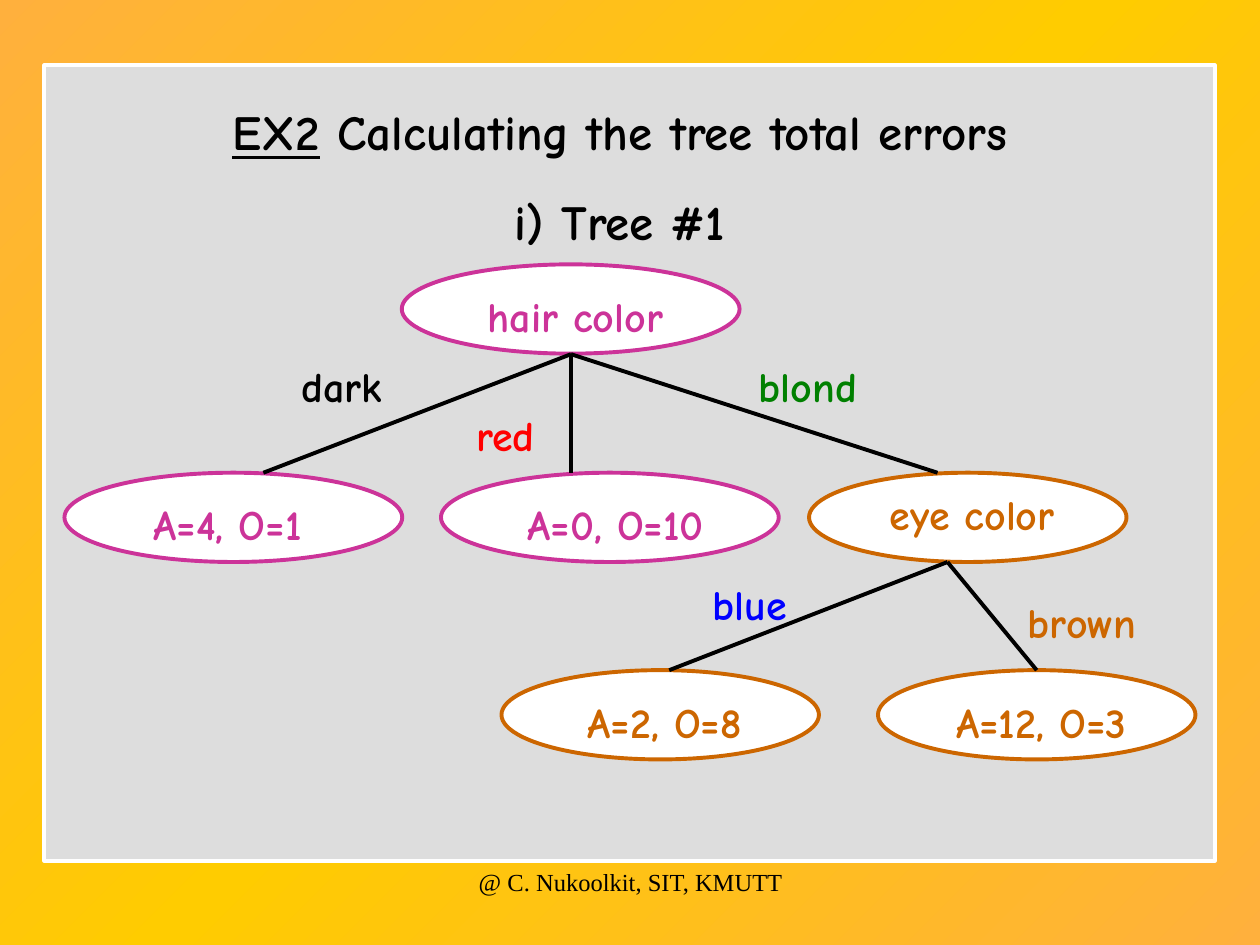
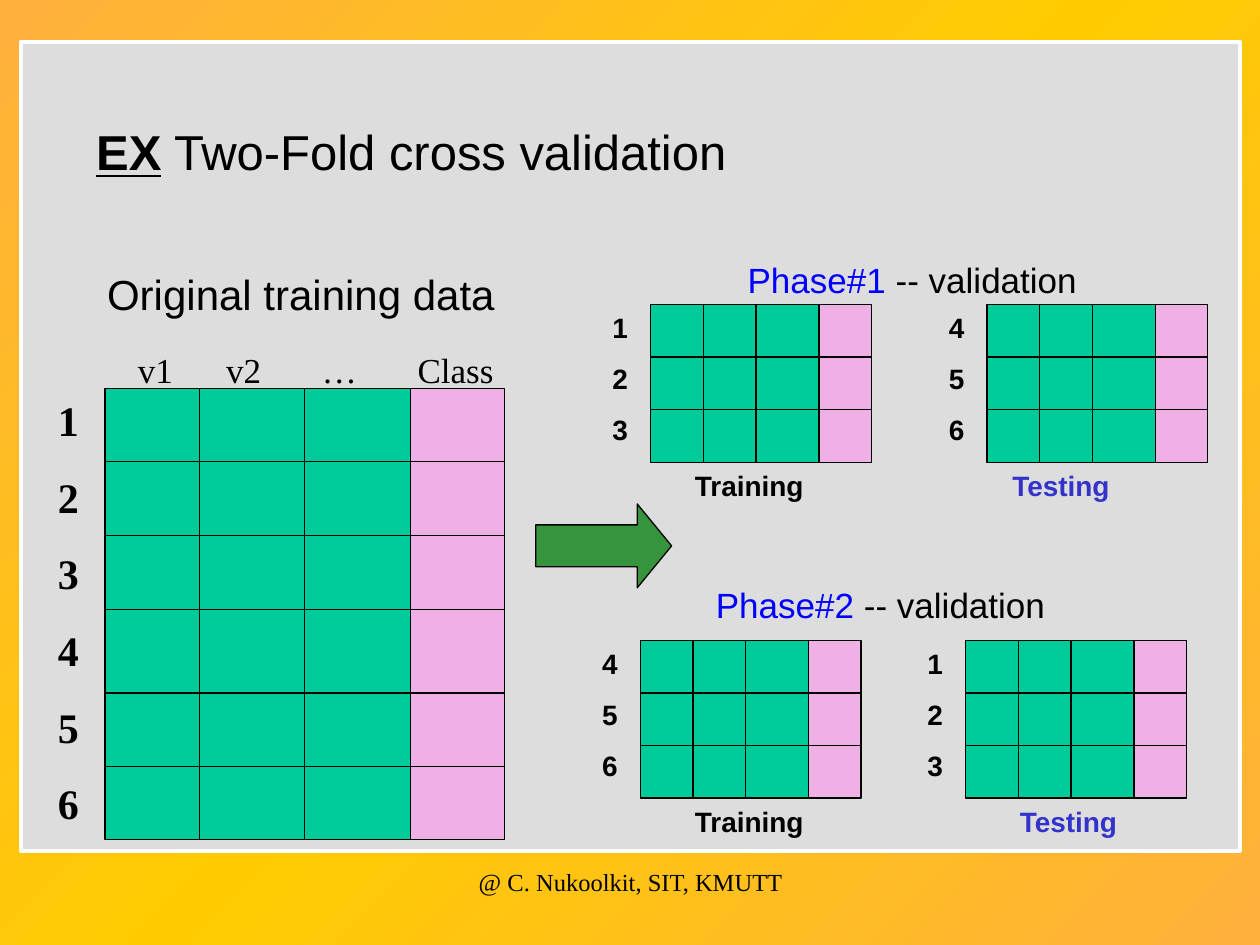
import copy
from dataclasses import dataclass

import pptx
import pptx.util
from pptx.dml.color import RGBColor
from pptx.enum.shapes import MSO_CONNECTOR, MSO_SHAPE
from pptx.enum.text import MSO_AUTO_SIZE, PP_ALIGN
from pptx.oxml.ns import qn
from pptx.oxml.xmlchemy import OxmlElement

Cm = pptx.util.Cm
Pt = pptx.util.Pt

COLOURS = {
    "edge": "FFB03D", "gold": "FFCC00", "panel": "DDDDDD", "white": "FFFFFF",
    "black": "000000", "magenta": "CC3399", "orange": "CC6600", "red": "FF0000",
    "green": "008000", "blue": "0000FF", "attribute": "00CC99", "class": "EEB0E5",
    "arrow": "36943D", "testing": "3333CC",
}
COMIC, ARIAL, TIMES = "Comic Neue", "Arial", "Times New Roman"
THIN, THICK = 0.75, 2.25


@dataclass(frozen=True)
class Box:
    left: float
    top: float
    width: float
    height: float

    def lengths(self) -> list:
        return [Cm(value) for value in (self.left, self.top, self.width, self.height)]


@dataclass(frozen=True)
class Style:
    font: str
    size: float
    colour: str = "black"
    bold: bool = False
    underline: bool = False


@dataclass(frozen=True)
class Node:
    text: str
    colour: str
    ellipse: Box
    label_left: float
    label_drop: float = 0.4


@dataclass(frozen=True)
class Branch:
    text: str
    colour: str
    label: Box
    start: tuple
    end: tuple


@dataclass(frozen=True)
class Grid:
    columns: tuple  # offsets of the inner column lines; the last one starts the class
    rows: tuple  # offsets of the inner row lines
    width: float
    height: float


@dataclass(frozen=True)
class Phase:
    name: str
    title: tuple
    top: float
    training_left: float
    training_rows: str
    testing_left: float
    testing_rows: str
    testing_tab: float


def rgb(name: str) -> RGBColor:
    return RGBColor.from_string(COLOURS[name])


# Drawing functions
def add_shape(slide, kind, box: Box, fill: str, line: str, weight: float) -> None:
    shape = slide.shapes.add_shape(kind, *box.lengths())
    shape.shadow.inherit = False
    shape.fill.solid()
    shape.fill.fore_color.rgb = rgb(fill)
    shape.line.color.rgb = rgb(line)
    shape.line.width = Pt(weight)
    if kind == MSO_SHAPE.RIGHT_ARROW:
        shape.adjustments[0] = 0.5
        shape.adjustments[1] = 0.41


def add_line(slide, start: tuple, end: tuple, weight: float) -> None:
    points = [Cm(value) for value in (*start, *end)]
    connector = slide.shapes.add_connector(MSO_CONNECTOR.STRAIGHT, *points)
    connector.line.color.rgb = rgb("black")
    connector.line.width = Pt(weight)
    connector._element.spPr.append(OxmlElement("a:effectLst"))


def add_tabs(paragraph, stops: tuple) -> None:
    tab_list = OxmlElement("a:tabLst")
    for stop in stops:
        tab = OxmlElement("a:tab")
        tab.set("pos", str(Cm(stop)))
        tab.set("algn", "l")
        tab_list.append(tab)
    paragraph._p.get_or_add_pPr().append(tab_list)


def add_text(slide, box: Box, lines: list, align=PP_ALIGN.LEFT, gap: float = 0,
             tabs: tuple = (), grow: bool = True) -> None:
    """Each line is a list of (text, style) runs; gap is the space between lines."""
    frame = slide.shapes.add_textbox(*box.lengths()).text_frame
    frame.word_wrap = True
    frame.auto_size = MSO_AUTO_SIZE.SHAPE_TO_FIT_TEXT if grow else MSO_AUTO_SIZE.NONE
    for index, runs in enumerate(lines):
        paragraph = frame.add_paragraph() if index else frame.paragraphs[0]
        if tabs:
            add_tabs(paragraph, tabs)
        paragraph.alignment = align
        if index:
            paragraph.space_before = Pt(gap)
        for text, style in runs:
            run = paragraph.add_run()
            run.text = text
            run.font.name = style.font
            run.font.size = Pt(style.size)
            run.font.bold = style.bold
            run.font.underline = style.underline
            run.font.color.rgb = rgb(style.colour)


def add_tree_label(slide, box: Box, text: str, colour: str) -> None:
    add_text(slide, box, [[(text, Style(COMIC, 24, colour, True))]], PP_ALIGN.CENTER)


def add_grid(slide, left: float, top: float, grid: Grid) -> None:
    split = grid.columns[-1]
    right, bottom = left + grid.width, top + grid.height
    add_shape(slide, MSO_SHAPE.RECTANGLE, Box(left, top, split, grid.height),
              "attribute", "black", THIN)
    add_shape(slide, MSO_SHAPE.RECTANGLE,
              Box(left + split, top, grid.width - split, grid.height),
              "class", "black", THIN)
    for row in grid.rows:
        add_line(slide, (left, top + row), (right, top + row), THIN)
    for column in grid.columns[:-1]:
        add_line(slide, (left + column, top), (left + column, bottom), THIN)


# Parts shared by the slides
def paint_background(presentation) -> None:
    master = presentation.slide_master
    fill = master.background.fill
    fill.gradient()
    fill.gradient_angle = 135
    for stop in fill.gradient_stops:
        stop.color.rgb = rgb("edge")
    stops = master.element.find(".//" + qn("a:gsLst"))
    middle = copy.deepcopy(stops[0])
    middle.set("pos", "50000")
    stops.insert(1, middle)
    fill.gradient_stops[1].color.rgb = rgb("gold")


def start_slide(presentation, panel: Box):
    slide = presentation.slides.add_slide(presentation.slide_layouts[6])
    add_shape(slide, MSO_SHAPE.RECTANGLE, panel, "panel", "white", THICK)
    add_text(slide, Box(8.69, 17.35, 8.05, 1.27),
             [[("@ C. Nukoolkit, SIT, KMUTT", Style(TIMES, 14))]],
             PP_ALIGN.CENTER, grow=False)
    return slide


# Slide 1: decision tree
WIDE, NARROW, NODE_HEIGHT = 6.81, 6.4, 1.8
LEVELS = (5.33, 9.53, 13.51)
ROOT_END, EYE_END = (11.51, 7.14), (19.1, 11.33)

NODES = [
    Node("hair color", "magenta", Box(8.1, LEVELS[0], WIDE, NODE_HEIGHT), 7.7),
    Node("A=4, O=1", "magenta", Box(1.3, LEVELS[1], WIDE, NODE_HEIGHT), 0.69),
    Node("A=0, O=10", "magenta", Box(8.89, LEVELS[1], WIDE, NODE_HEIGHT), 8.51),
    Node("eye color", "orange", Box(16.31, LEVELS[1], NARROW, NODE_HEIGHT), 15.7, 0.2),
    Node("A=2, O=8", "orange", Box(10.11, LEVELS[2], NARROW, NODE_HEIGHT), 9.5),
    Node("A=12, O=3", "orange", Box(17.7, LEVELS[2], NARROW, NODE_HEIGHT), 17.09),
]
BRANCHES = [
    Branch("dark", "black", Box(5.49, 7.14, 2.79, 1.27), ROOT_END, (5.31, LEVELS[1])),
    Branch("red", "red", Box(9.09, 8.13, 2.21, 1.27), ROOT_END, (11.51, LEVELS[1])),
    Branch("blond", "green", Box(13.89, 7.14, 4.8, 1.27), ROOT_END, (18.9, LEVELS[1])),
    Branch("blue", "blue", Box(13.31, 11.53, 3.61, 1.27), EYE_END, (13.49, LEVELS[2])),
    Branch("brown", "orange", Box(19.91, 11.91, 3.81, 1.27), EYE_END, (20.9, LEVELS[2])),
]


def build_tree_slide(presentation) -> None:
    slide = start_slide(presentation, Box(0.89, 1.32, 23.6, 16.03))
    title = Style(COMIC, 28, bold=True)
    add_text(slide, Box(1.09, 1.93, 22.81, 3.25), [
        [("EX2", Style(COMIC, 28, bold=True, underline=True)),
         (" Calculating the tree total errors", title)],
        [("i) Tree #1", title)],
    ], PP_ALIGN.CENTER, gap=17.5)
    for node in NODES:
        add_shape(slide, MSO_SHAPE.OVAL, node.ellipse, "white", node.colour, THICK)
    for branch in BRANCHES:
        add_line(slide, branch.start, branch.end, THICK)
        add_tree_label(slide, branch.label, branch.text, branch.colour)
    for node in NODES:
        label = Box(node.label_left, node.ellipse.top + node.label_drop, 7.8, 1.27)
        add_tree_label(slide, label, node.text, node.colour)


# Slide 2: two-fold cross validation
FULL_GRID = Grid((1.9, 4.02, 6.15), (1.48, 2.96, 4.45, 6.14, 7.62), 8.05, 9.1)
FOLD_GRID = Grid((1.06, 2.12, 3.39), (1.06, 2.12), 4.45, 3.18)
PHASES = [
    Phase("Phase#1", (14.82, 5.08), 6.14, 13.12, "123", 19.9, "456", 6.4),
    Phase("Phase#2", (14.18, 11.64), 12.91, 12.91, "456", 19.47, "123", 6.55),
]


def add_phase(slide, phase: Phase) -> None:
    bold = Style(ARIAL, 16, bold=True)
    folds = ((phase.training_left, phase.training_rows),
             (phase.testing_left, phase.testing_rows))
    for left, rows in folds:
        add_grid(slide, left, phase.top, FOLD_GRID)
        add_text(slide, Box(left - 1.27, phase.top, 1.06, 3),
                 [[(row, bold)] for row in rows], PP_ALIGN.RIGHT, gap=10)
    add_text(slide, Box(*phase.title, 10.16, 1.12),
             [[(phase.name, Style(ARIAL, 20, "blue")),
               (" -- validation", Style(ARIAL, 20))]])
    add_text(slide, Box(13.76, phase.top + FOLD_GRID.height, 11.63, 0.94),
             [[("Training\t", bold), ("Testing", Style(ARIAL, 16, "testing", True))]],
             tabs=(phase.testing_tab,))


def build_validation_slide(presentation) -> None:
    slide = start_slide(presentation, Box(0.43, 0.84, 24.56, 16.31))
    add_text(slide, Box(1.69, 2.33, 13.97, 1.45),
             [[("EX", Style(ARIAL, 28, bold=True, underline=True)),
               (" Two-Fold cross validation", Style(ARIAL, 28))]])
    # Full data set
    add_text(slide, Box(1.91, 5.29, 9.31, 1.27),
             [[("Original training data", Style(ARIAL, 24))]])
    add_grid(slide, 2.12, 7.83, FULL_GRID)
    add_text(slide, Box(0.64, 7.83, 1.48, 9),
             [[(row, Style(TIMES, 24, bold=True))] for row in "123456"],
             PP_ALIGN.CENTER, gap=15)
    add_text(slide, Box(2.53, 6.91, 8, 1.12),
             [[("v1\tv2\t…\tClass", Style(TIMES, 20))]], tabs=(1.78, 3.71, 5.64))
    # Folds
    for phase in PHASES:
        add_phase(slide, phase)
    add_shape(slide, MSO_SHAPE.RIGHT_ARROW, Box(10.8, 10.16, 2.74, 1.69),
              "arrow", "black", THIN)


def main() -> None:
    presentation = pptx.Presentation()
    presentation.slide_width = Cm(25.4)
    presentation.slide_height = Cm(19.05)
    paint_background(presentation)
    build_tree_slide(presentation)
    build_validation_slide(presentation)
    presentation.save("out.pptx")


if __name__ == "__main__":
    main()
